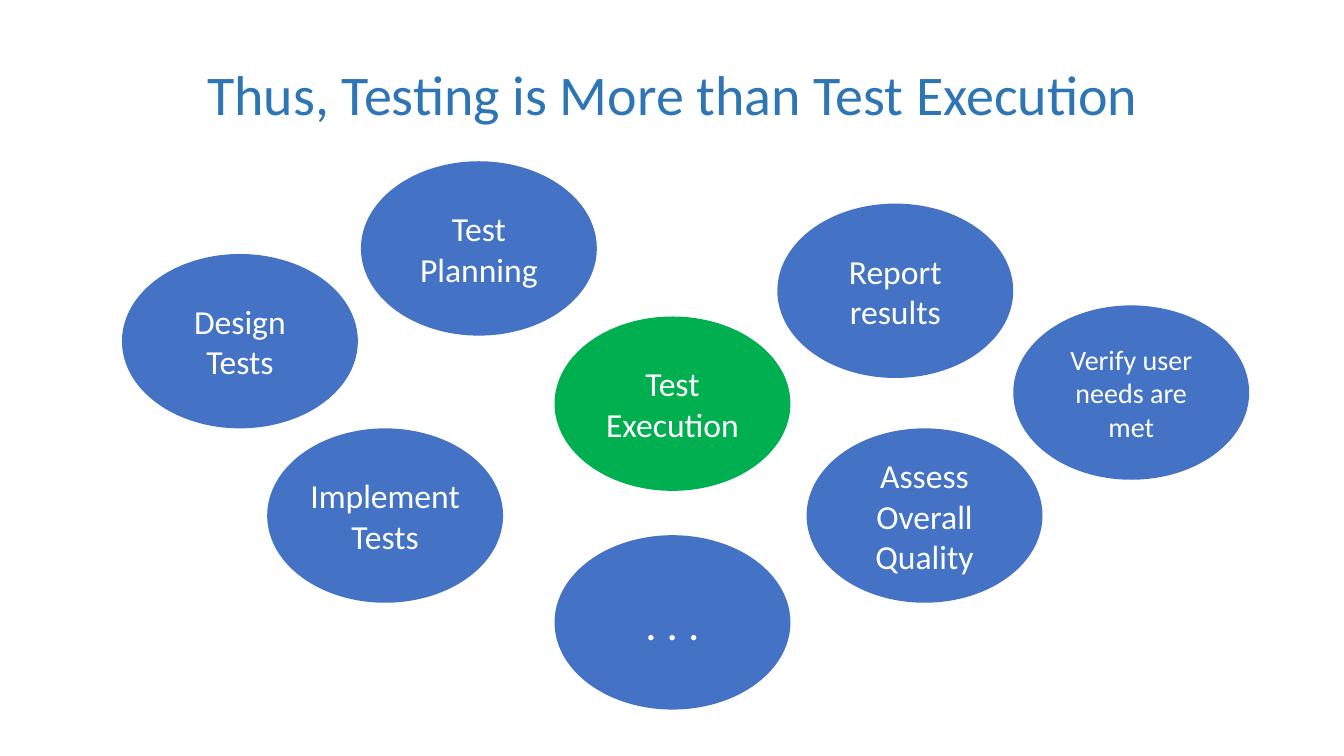
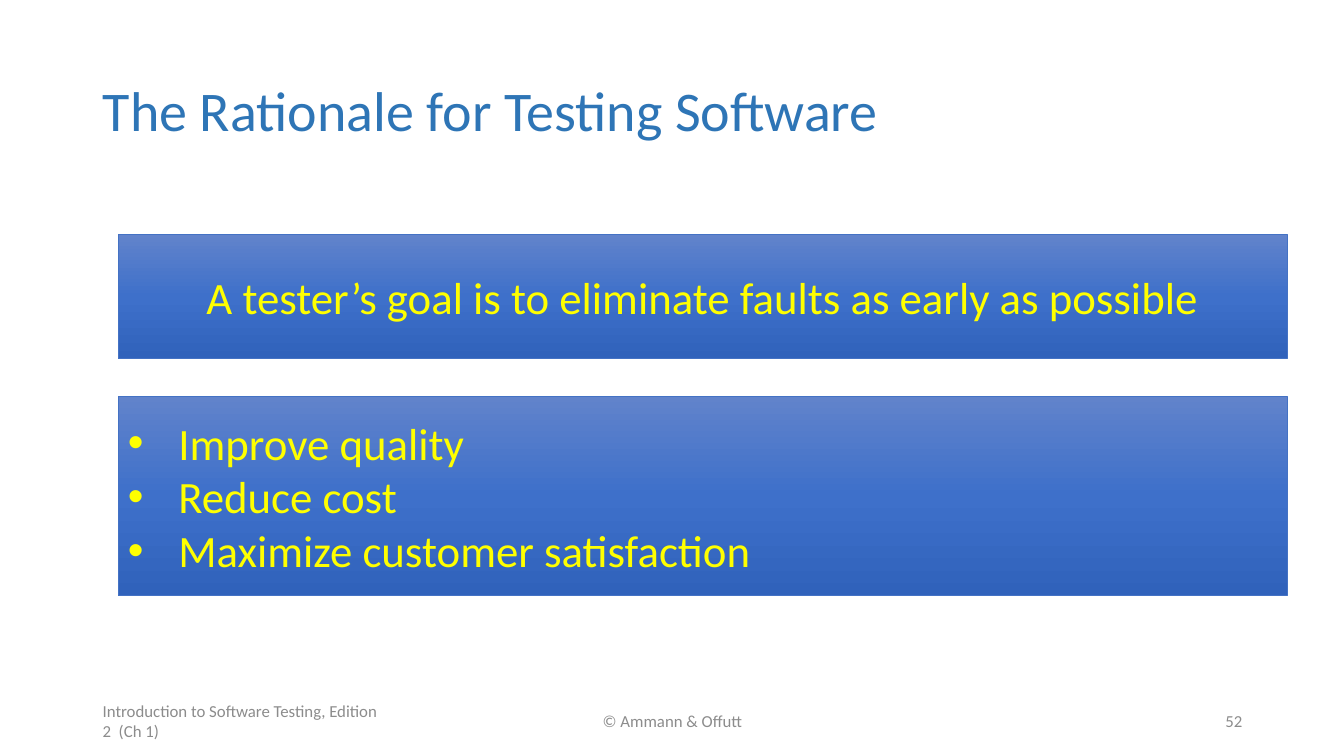
from typing import NamedTuple

from lxml import etree
from pptx import Presentation
from pptx.dml.color import RGBColor
from pptx.enum import shapes, text
from pptx.oxml.ns import qn
from pptx.util import Inches, Pt

FONT = "Calibri"
TITLE_BLUE = "2E75B6"
BLUE = "4472C4"
GREEN = "00B050"
WHITE = "FFFFFF"
YELLOW = "FFFF00"
GREY = "8C8C8C"
PANEL_STOPS = ((0, "6183CB"), (50, "3E70CA"), (100, "3062BB"))

OVAL_W, OVAL_H = 2.34, 1.73
PANEL_LEFT, PANEL_W = 1.17, 11.6
FOOTER_TOP, FOOTER_H = 6.95, 0.4
LEFT, CENTER, RIGHT = (text.PP_ALIGN.LEFT, text.PP_ALIGN.CENTER,
                       text.PP_ALIGN.RIGHT)


class Oval(NamedTuple):
    lines: tuple[str, ...]
    left: float
    top: float
    size: int = 24
    fill: str = BLUE
    side_inset: float = 0.1


class Panel(NamedTuple):
    lines: tuple[str, ...]
    top: float
    height: float
    align: text.PP_ALIGN = LEFT
    bulleted: bool = False


class Footer(NamedTuple):
    line: str
    left: float
    width: float
    align: text.PP_ALIGN


OVALS = (
    Oval(("Test Execution",), 5.5, 3.14, fill=GREEN),
    Oval((". . .",), 5.5, 5.31, size=32),
    Oval(("Assess", "Overall Quality"), 8, 4.25),
    Oval(("Implement", "Tests"), 2.65, 4.25, side_inset=0),
    Oval(("Design", "Tests"), 1.21, 2.52),
    Oval(("Test", "Planning"), 3.58, 1.6),
    Oval(("Report results",), 7.71, 2.02),
    Oval(("Verify user needs are met",), 10.05, 3.03, size=20),
)

PANELS = (
    Panel(("A tester’s goal is to eliminate faults as early as possible",),
          2.33, 1.23, align=CENTER),
    Panel(("Improve quality", "Reduce cost", "Maximize customer satisfaction"),
          3.93, 1.98, bulleted=True),
)

FOOTERS = (
    Footer("Introduction to Software Testing, Edition 2  (Ch 1)", 0.92, 3, LEFT),
    Footer("© Ammann & Offutt", 4.42, 4.5, CENTER),
    Footer("52", 9.42, 3, RIGHT),
)


def rgb(value: str) -> RGBColor:
    return RGBColor.from_string(value)


def add_bullet(p) -> None:
    """Give the paragraph a round bullet with a half-inch hanging indent."""
    p_pr = p._p.get_or_add_pPr()
    p_pr.set("marL", str(Inches(0.5)))
    p_pr.set("indent", str(-Inches(0.5)))
    etree.SubElement(p_pr, qn("a:buFont")).set("typeface", "Arial")
    etree.SubElement(p_pr, qn("a:buChar")).set("char", "•")


def write(sp, lines: tuple[str, ...], size: int, color: str,
          align: text.PP_ALIGN, bulleted: bool = False) -> None:
    tf = sp.text_frame
    tf.word_wrap = True
    tf.auto_size = text.MSO_AUTO_SIZE.NONE
    tf.vertical_anchor = text.MSO_ANCHOR.MIDDLE
    tf.text = "\n".join(lines)
    for p in tf.paragraphs:
        p.alignment = align
        if bulleted:
            add_bullet(p)
        p.font.name = FONT
        p.font.size = Pt(size)
        p.font.color.rgb = rgb(color)


def fill_gradient(sp) -> None:
    """Fill from top to bottom with the panel colours."""
    sp.fill.gradient()
    sp.fill.gradient_angle = 270
    stops = sp._element.spPr.find(".//" + qn("a:gsLst"))
    for stop in list(stops):
        stops.remove(stop)
    for percent, color in PANEL_STOPS:
        stop = etree.SubElement(stops, qn("a:gs"), pos=str(percent * 1000))
        etree.SubElement(stop, qn("a:srgbClr"), val=color)


def add_titled_slide(prs, title: str, top: float, align: text.PP_ALIGN):
    s = prs.slides.add_slide(prs.slide_layouts[5])
    sp = s.shapes.title
    sp.left, sp.top = Inches(0.92), Inches(top)
    sp.width, sp.height = Inches(11.5), Inches(1.45)
    write(sp, (title,), 40, TITLE_BLUE, align)
    sp.text_frame.paragraphs[0].line_spacing = 0.9
    return s


def add_oval(s, oval: Oval) -> None:
    sp = s.shapes.add_shape(shapes.MSO_SHAPE.OVAL, Inches(oval.left),
                            Inches(oval.top), Inches(OVAL_W), Inches(OVAL_H))
    sp.shadow.inherit = False
    sp.fill.solid()
    sp.fill.fore_color.rgb = rgb(oval.fill)
    sp.line.fill.background()
    tf = sp.text_frame
    tf.margin_left = tf.margin_right = Inches(oval.side_inset)
    write(sp, oval.lines, oval.size, WHITE, CENTER)


def add_panel(s, panel: Panel) -> None:
    sp = s.shapes.add_shape(shapes.MSO_SHAPE.RECTANGLE, Inches(PANEL_LEFT),
                            Inches(panel.top), Inches(PANEL_W),
                            Inches(panel.height))
    sp.shadow.inherit = False
    fill_gradient(sp)
    sp.line.color.rgb = rgb(BLUE)
    sp.line.width = Pt(0.5)
    write(sp, panel.lines, 32, YELLOW, panel.align, panel.bulleted)


def add_footer(s, footer: Footer) -> None:
    sp = s.shapes.add_textbox(Inches(footer.left), Inches(FOOTER_TOP),
                              Inches(footer.width), Inches(FOOTER_H))
    write(sp, (footer.line,), 12, GREY, footer.align)


def main() -> None:
    prs = Presentation()
    prs.slide_width, prs.slide_height = Inches(13.33), Inches(7.5)

    s = add_titled_slide(prs, "Thus, Testing is More than Test Execution",
                         0.24, CENTER)
    for oval in OVALS:
        add_oval(s, oval)

    s = add_titled_slide(prs, "The Rationale for Testing Software", 0.4, LEFT)
    for footer in FOOTERS:
        add_footer(s, footer)
    for panel in PANELS:
        add_panel(s, panel)

    prs.save("out.pptx")


if __name__ == "__main__":
    main()
